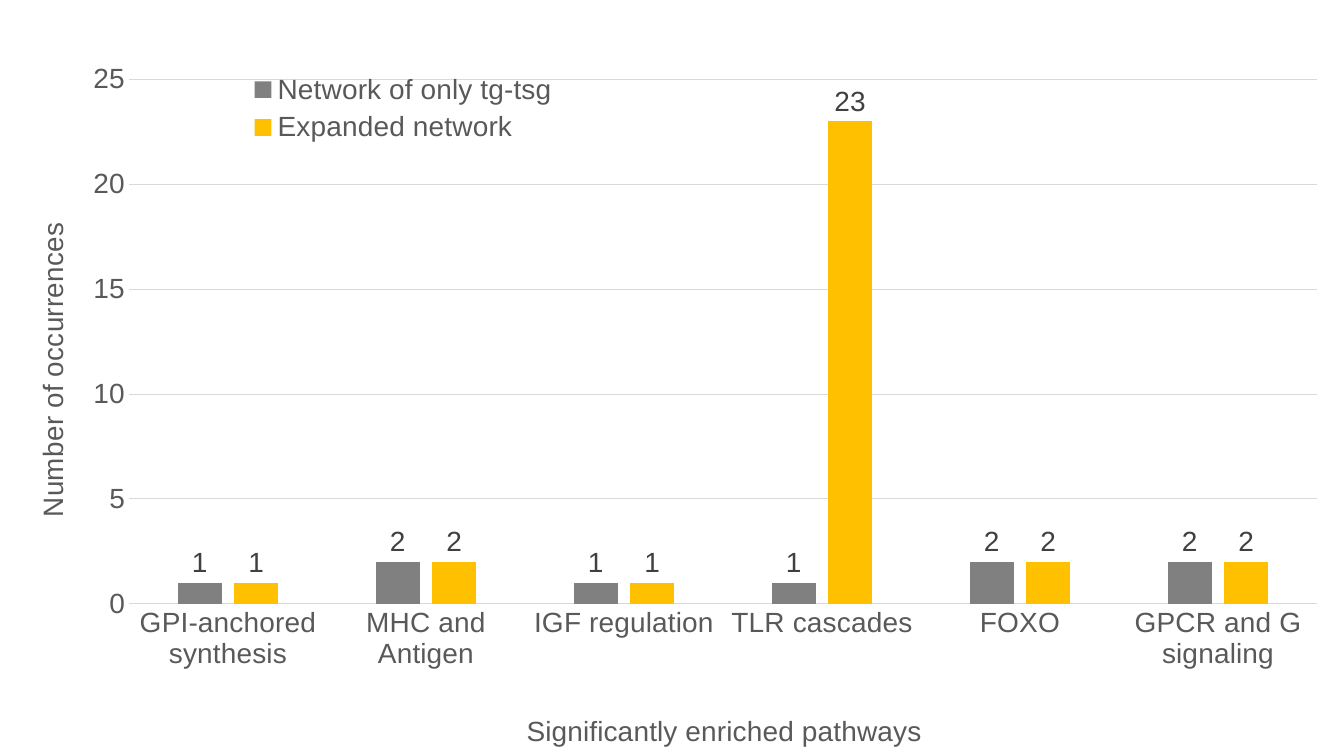
from dataclasses import dataclass

from lxml.etree import SubElement
from pptx import Presentation
from pptx.chart.data import CategoryChartData
from pptx.dml.color import RGBColor
from pptx.enum.chart import (XL_CHART_TYPE, XL_LABEL_POSITION,
                             XL_LEGEND_POSITION, XL_TICK_MARK)
from pptx.oxml.ns import qn
from pptx.util import Inches, Pt


@dataclass(frozen=True)
class Theme:
    font: str = "Arial"
    size: int = 20
    text: str = "595959"
    label: str = "404040"
    rule: str = "D9D9D9"
    rule_width: float = 0.75


THEME = Theme()

PATHWAYS = ["GPI-anchored synthesis", "MHC and Antigen", "IGF regulation",
            "TLR cascades", "FOXO", "GPCR and G signaling"]
# Network name: (bar colour, occurrences per pathway)
NETWORKS = {
    "Network of only tg-tsg": ("808080", [1, 2, 1, 1, 2, 2]),
    "Expanded network": ("FFC000", [1, 2, 1, 23, 2, 2]),
}


def style_font(font, color=THEME.text):
    font.name = THEME.font
    font.size = Pt(THEME.size)
    font.bold = False
    font.color.rgb = RGBColor.from_string(color)


def style_rule(line):
    line.color.rgb = RGBColor.from_string(THEME.rule)
    line.width = Pt(THEME.rule_width)


def place(element, index, x, y, w=None, h=None, inner=False):
    """Place a chart part by fractions of the chart's width and height."""
    layout = element.find(qn("c:layout"))
    if layout is not None:
        element.remove(layout)
    layout = element.makeelement(qn("c:layout"), {})
    element.insert(index, layout)
    manual = SubElement(layout, qn("c:manualLayout"))
    settings = [("layoutTarget", "inner" if inner else None),
                ("xMode", "edge"), ("yMode", "edge"),
                ("x", x), ("y", y), ("w", w), ("h", h)]
    for tag, value in settings:
        if value is not None:
            SubElement(manual, qn(f"c:{tag}")).set("val", str(value))


def style_axis(axis, title, x, y):
    axis.major_tick_mark = axis.minor_tick_mark = XL_TICK_MARK.NONE
    style_font(axis.tick_labels.font)
    heading = axis.axis_title
    heading.text_frame.text = title
    style_font(heading.text_frame.paragraphs[0].font)
    place(heading._element, 1, x, y)


def style_networks(plot):
    plot.gap_width = 219
    plot.overlap = -27
    plot.vary_by_categories = False
    for network, (color, _) in zip(plot.series, NETWORKS.values()):
        network.format.fill.solid()
        network.format.fill.fore_color.rgb = RGBColor.from_string(color)
        labels = network.data_labels
        labels.show_value = True
        labels.position = XL_LABEL_POSITION.OUTSIDE_END
        style_font(labels.font, THEME.label)


def add_legend(chart):
    chart.has_legend = True
    legend = chart.legend
    legend.position = XL_LEGEND_POSITION.TOP
    legend.include_in_layout = False
    style_font(legend.font)
    place(legend._element, 1, 0.18, 0.09, 0.24, 0.11)


def add_pathway_chart(slide, width, height):
    data = CategoryChartData()
    data.categories = PATHWAYS
    for name, (_, occurrences) in NETWORKS.items():
        data.add_series(name, occurrences)
    chart = slide.shapes.add_chart(XL_CHART_TYPE.COLUMN_CLUSTERED,
                                   0, 0, width, height, data).chart
    chart.has_title = False
    style_font(chart.font)
    place(chart._chartSpace.chart.plotArea, 0,
          0.096, 0.106, 0.884, 0.7, inner=True)
    style_networks(chart.plots[0])

    # Axes
    pathways, occurrences = chart.category_axis, chart.value_axis
    style_axis(pathways, "Significantly enriched pathways", 0.388, 0.945)
    style_rule(pathways.format.line)
    style_axis(occurrences, "Number of occurrences", 0.022, 0.294)
    occurrences.format.line.fill.background()
    occurrences.minimum_scale, occurrences.maximum_scale = 0, 25
    occurrences.major_unit = 5
    style_rule(occurrences.major_gridlines.format.line)

    add_legend(chart)


def main():
    deck = Presentation()
    deck.slide_width, deck.slide_height = Inches(13.33), Inches(7.5)
    slide = deck.slides.add_slide(deck.slide_layouts[6])
    add_pathway_chart(slide, deck.slide_width, deck.slide_height)
    deck.save("out.pptx")


if __name__ == "__main__":
    main()
